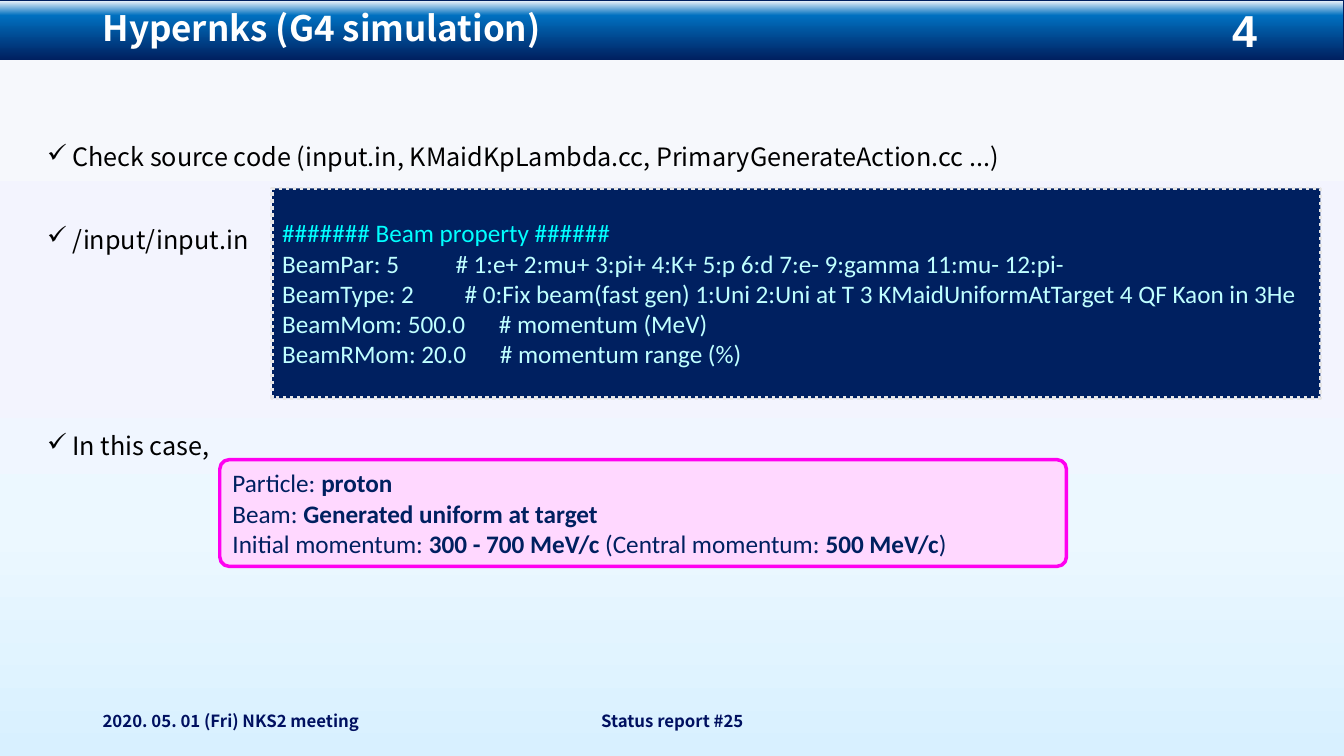
from copy import deepcopy
from lxml import etree
from pptx import Presentation
from pptx import util as u
from pptx.dml.color import RGBColor
from pptx.enum import dml, shapes, text
from pptx.oxml import ns

NAVY = RGBColor(0x00, 0x20, 0x60)
INK = RGBColor(0x00, 0x10, 0x60)
BLUE = RGBColor(0x00, 0x70, 0xC0)
WHITE = RGBColor(0xFF, 0xFF, 0xFF)
BLACK = RGBColor(0x00, 0x00, 0x00)
CYAN = RGBColor(0x00, 0xFF, 0xFF)
AQUA = RGBColor(0xC0, 0xFF, 0xFF)
GREY = RGBColor(0xE7, 0xE6, 0xE6)
PINK = RGBColor(0xFF, 0xD8, 0xFF)
ROSE = RGBColor(0xFF, 0x00, 0xF0)
MIST = RGBColor(0xF6, 0xF8, 0xFC)
HAZE = RGBColor(0xF3, 0xF4, 0xFE)
ICE = RGBColor(0xEC, 0xF8, 0xFF)
SKY = RGBColor(0xD8, 0xF0, 0xFF)
NOTO, CALI, ARIAL = "Noto Sans CJK JP", "Calibri", "Arial"
LEFT, MID = text.PP_ALIGN.LEFT, text.PP_ALIGN.CENTER
PITCH, GAP = 29.5, 10


class Deck:
    """Draw on one slide, with lengths in hundredths of its width and height."""

    def __init__(self, wide, high):
        self.prs = Presentation()
        self.prs.slide_width, self.prs.slide_height = u.Inches(wide), u.Inches(high)
        self.slide = self.prs.slides.add_slide(self.prs.slide_layouts[6])

    def place(self, x, y, w, h):
        col, row = self.prs.slide_width / 100, self.prs.slide_height / 100
        return int(x * col), int(y * row), int(w * col), int(h * row)

    def shade(self, fill, root, stops):
        fill.gradient()
        fill.gradient_angle = 270
        band = root.find(".//" + ns.qn("a:gsLst"))
        for _ in stops[2:]:
            band.append(deepcopy(band[0]))
        for stop, (share, color) in zip(fill.gradient_stops, stops):
            stop.position = share
            stop.color.rgb = color

    def box(self, kind, spot, fill, line, width):
        shape = self.slide.shapes.add_shape(kind, *self.place(*spot))
        shape.shadow.inherit = False
        if isinstance(fill, list):
            self.shade(shape.fill, shape._element, fill)
        else:
            shape.fill.solid()
            shape.fill.fore_color.rgb = fill
        shape.line.color.rgb = line
        shape.line.width = u.Pt(width)
        return shape

    def area(self, spot, anchor=text.MSO_ANCHOR.MIDDLE):
        shape = self.slide.shapes.add_textbox(*self.place(*spot))
        shape.text_frame.vertical_anchor = anchor
        return shape

    def label(self, shape, line, size, face, color, bold=False, align=LEFT, lead=None):
        frame = shape.text_frame
        frame.word_wrap = True
        para = frame.paragraphs[0] if not frame.text else frame.add_paragraph()
        para.alignment = align
        para.line_spacing = lead
        font = para.font
        font.size, font.name, font.bold = u.Pt(size), face, bold
        font.color.rgb = color
        for i, part in enumerate(line.split("*")):
            if part:
                run = para.add_run()
                run.text = part
                if i % 2:
                    run.font.bold = True
        return para

    def check(self, para, before):
        para.space_before = u.Pt(before)
        props = para._p.get_or_add_pPr()
        props.set("marL", str(u.Inches(0.25)))
        props.set("indent", str(-u.Inches(0.25)))
        mark = etree.Element(ns.qn("a:buChar"), char="✓")
        props.find(ns.qn("a:defRPr")).addprevious(mark)

    def tab(self, para, stop):
        tabs = etree.Element(ns.qn("a:tabLst"))
        etree.SubElement(tabs, ns.qn("a:tab"), pos=str(u.Inches(stop)), algn="l")
        para._p.get_or_add_pPr().find(ns.qn("a:defRPr")).addprevious(tabs)


def main():
    deck = Deck(13.33, 7.5)
    deck.shade(deck.slide.background.fill, deck.slide._element,
               [(0, MIST), (0.48, HAZE), (0.7, ICE), (1, SKY)])

    rect = shapes.MSO_SHAPE.RECTANGLE
    deck.box(rect, (0, 0, 100, 7.87), [(0, MIST), (0.26, BLUE), (1, NAVY)], NAVY, 0.75)
    deck.label(deck.area((85.2, 0, 14.8, 7.87)), "4", 32, ARIAL, WHITE, True, MID)
    deck.label(deck.area((6.9, 0, 86.25, 7.87)), "Hypernks (G4 simulation)",
               25, NOTO, WHITE, True, lead=0.9)

    body = deck.area((2.78, 18.53, 94.5, 72.4), text.MSO_ANCHOR.TOP)
    for line, skip in [
        ("Check source code (input.in, KMaidKpLambda.cc, PrimaryGenerateAction.cc ...)", 0),
        ("/input/input.in", 1),
        ("In this case,", 4),
    ]:
        para = deck.label(body, line, 18, NOTO, BLACK, lead=0.9)
        deck.check(para, GAP + skip * PITCH)

    for line, x, w, align in [
        ("2020. 05. 01 (Fri) NKS2 meeting", 6.9, 22.5, LEFT),
        ("Status report #25", 33.15, 33.75, MID),
    ]:
        deck.label(deck.area((x, 92.67, w, 5.33)), line, 12, NOTO, INK, True, align)

    code = deck.box(rect, (20.25, 24.93, 78, 27.73), NAVY, GREY, 2.5)
    code.line.dash_style = dml.MSO_LINE.ROUND_DOT
    deck.label(code, "####### Beam property ######", 18, CALI, CYAN)
    for name, note, stop in [
        ("BeamPar: 5", "# 1:e+ 2:mu+ 3:pi+ 4:K+ 5:p 6:d 7:e- 9:gamma 11:mu- 12:pi-", 1.72),
        ("BeamType: 2", "# 0:Fix beam(fast gen) 1:Uni 2:Uni at T 3 KMaidUniformAtTarget 4 QF Kaon in 3He", 1.81),
        ("BeamMom: 500.0", "# momentum (MeV)", 2.15),
        ("BeamRMom: 20.0", "# momentum range (%)", 2.16),
    ]:
        deck.tab(deck.label(code, f"{name}\t{note}", 18, CALI, AQUA), stop)

    case = deck.box(shapes.MSO_SHAPE.ROUNDED_RECTANGLE, (16.35, 60.8, 63, 14.13), PINK, ROSE, 2.5)
    case.adjustments[0] = 0.09
    for line in [
        "Particle: *proton*",
        "Beam: *Generated uniform at target*",
        "Initial momentum: *300 - 700 MeV/c* (Central momentum: *500 MeV/c*)",
    ]:
        deck.label(case, line, 18, CALI, NAVY)

    deck.prs.save("out.pptx")


if __name__ == "__main__":
    main()
